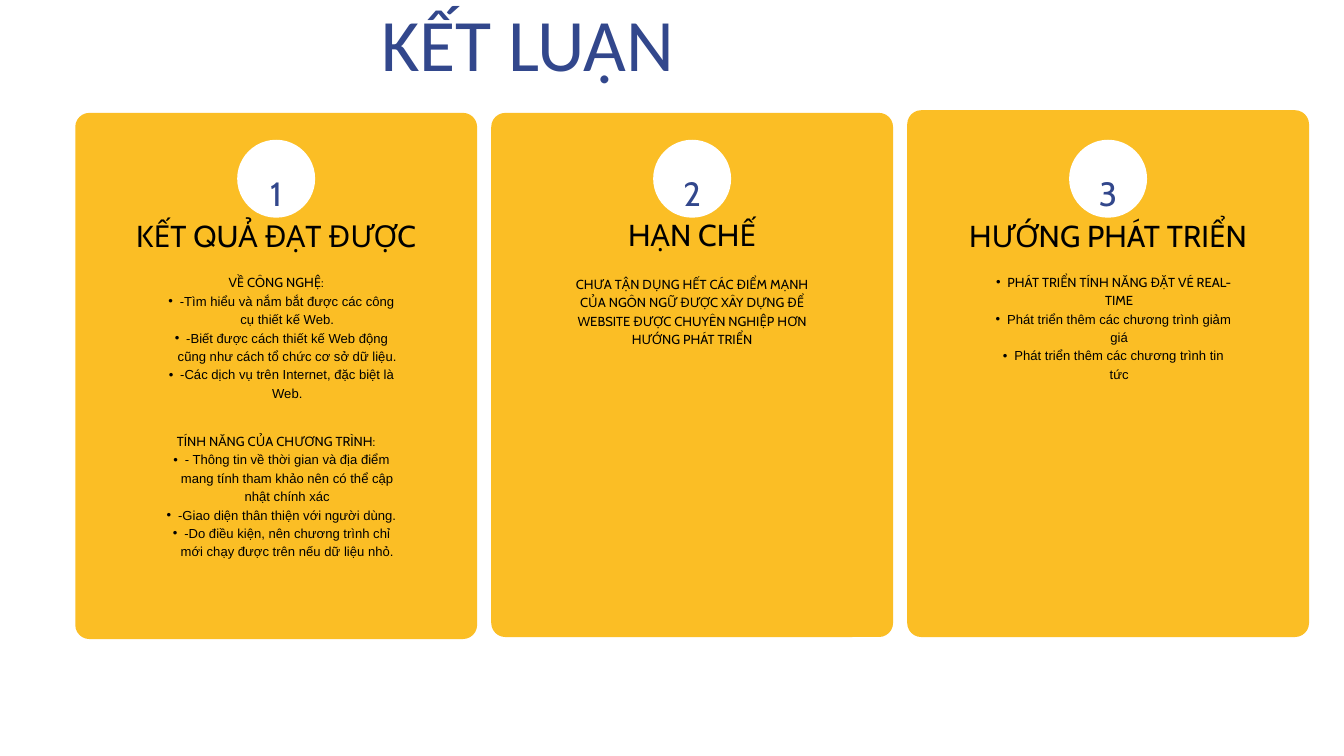
"""Build the conclusion slide: three numbered cards with headings and lists."""
from lxml import etree
from pptx import Presentation
from pptx.dml.color import RGBColor
from pptx.enum.shapes import MSO_SHAPE
from pptx.enum.text import MSO_ANCHOR, MSO_AUTO_SIZE, PP_ALIGN
from pptx.oxml.ns import qn
from pptx.util import Inches, Pt

ROUNDED, OVAL = MSO_SHAPE.ROUNDED_RECTANGLE, MSO_SHAPE.OVAL
LEFT, CENTER = PP_ALIGN.LEFT, PP_ALIGN.CENTER
TOP, NO_FIT = MSO_ANCHOR.TOP, MSO_AUTO_SIZE.NONE
BLUE, YELLOW, WHITE, BLACK = "32478C", "FBBE25", "FFFFFF", "000000"
HEADING_FONT, LIST_FONT, TITLE_FONT = "Cabin", "Arial", "Calibri"

TITLE = "KẾT LUẬN"
CARDS = [
    {"heading": "KẾT QUẢ ĐẠT ĐƯỢC", "top": 1.68, "height": 7.83, "heading_top": 3.28,
     "sections": [
         (4.05, 2.43, [
             (False, HEADING_FONT, "VỀ CÔNG NGHỆ:"),
             (True, LIST_FONT, "-Tìm hiểu và nắm bắt được các công cụ thiết kế Web."),
             (True, LIST_FONT, "-Biết được cách thiết kế Web động cũng như cách tổ chức cơ sở dữ liệu."),
             (True, LIST_FONT, "-Các dịch vụ trên Internet, đặc biệt là Web."),
         ]),
         (6.41, 3.24, [
             (False, HEADING_FONT, "TÍNH NĂNG CỦA CHƯƠNG TRÌNH:"),
             (True, LIST_FONT, "- Thông tin về thời gian và địa điểm mang tính tham khảo nên có thể cập nhật chính xác"),
             (True, LIST_FONT, "-Giao diện thân thiện với người dùng."),
             (True, LIST_FONT, "-Do điều kiện, nên chương trình chỉ mới chạy được trên nếu dữ liệu nhỏ."),
         ]),
     ]},
    {"heading": "HẠN CHẾ", "top": 1.68, "height": 7.8, "heading_top": 3.27,
     "sections": [
         (4.07, 1.58, [
             (False, HEADING_FONT, "CHƯA TẬN DỤNG HẾT CÁC ĐIỂM MẠNH CỦA NGÔN NGỮ ĐƯỢC XÂY DỰNG ĐỂ "
                                   "WEBSITE ĐƯỢC CHUYÊN NGHIỆP HƠN HƯỚNG PHÁT TRIỂN"),
         ]),
     ]},
    {"heading": "HƯỚNG PHÁT TRIỂN", "top": 1.64, "height": 7.84, "heading_top": 3.28,
     "sections": [
         (4.04, 2.16, [
             (True, HEADING_FONT, "PHÁT TRIỂN TÍNH NĂNG ĐẶT VÉ REAL-TIME"),
             (True, LIST_FONT, "Phát triển thêm các chương trình giảm giá"),
             (True, LIST_FONT, "Phát triển thêm các chương trình tin tức"),
         ]),
     ]},
]
FIRST_LEFT, CARD_PITCH, CARD_WIDTH, CORNER = 1.12, 6.19, 5.98, 0.21
BADGE_TOP, BADGE_SIZE = 2.08, 1.16
HEADING_WIDTH, HEADING_HEIGHT, SECTION_WIDTH = 5.42, 0.51, 3.72


def color(hex_code):
    return RGBColor.from_string(hex_code)


def place(shape, left, top, width, height):
    shape.left, shape.top = Inches(left), Inches(top)
    shape.width, shape.height = Inches(width), Inches(height)


def add_panel(slide, kind, left, top, width, height, fill):
    panel = slide.shapes.add_shape(kind, *map(Inches, (left, top, width, height)))
    panel.shadow.inherit = False
    panel.fill.solid()
    panel.fill.fore_color.rgb = color(fill)
    panel.line.fill.background()
    return panel


def prepare_frame(frame, top_margin=0):
    frame.word_wrap = True
    frame.auto_size = NO_FIT
    frame.vertical_anchor = TOP
    frame.margin_left = frame.margin_right = frame.margin_bottom = 0
    frame.margin_top = Inches(top_margin)


def set_bullet(paragraph, bulleted):
    properties = paragraph._p.get_or_add_pPr()
    properties.set("marL", str(Inches(0.33) if bulleted else 0))
    properties.set("indent", str(Inches(-0.17) if bulleted else 0))
    if bulleted:
        paragraph.level = 1
        etree.SubElement(properties, qn("a:buFont")).set("typeface", LIST_FONT)
        etree.SubElement(properties, qn("a:buChar")).set("char", "•")
    else:
        etree.SubElement(properties, qn("a:buNone"))


def format_paragraph(paragraph, font, size, hex_code, spacing, align=CENTER):
    paragraph.alignment = align
    paragraph.line_spacing = Pt(spacing)
    paragraph.space_before = Pt(0)
    for run in paragraph.runs:
        run.font.name = font
        run.font.size = Pt(size)
        run.font.bold = False
        run.font.color.rgb = color(hex_code)


def fill_section(section, lines):
    frame = section.text_frame
    prepare_frame(frame)
    frame.text = "\n".join(text for _, _, text in lines)
    for paragraph, (bulleted, font, _) in zip(frame.paragraphs, lines):
        set_bullet(paragraph, bulleted)
        format_paragraph(paragraph, font, 14, BLACK, 19.7)


def add_card(slide, number, card, section_holders):
    left = FIRST_LEFT + CARD_PITCH * (number - 1)
    middle = left + CARD_WIDTH / 2
    panel = add_panel(slide, ROUNDED, left, card["top"], CARD_WIDTH, card["height"], YELLOW)
    panel.adjustments[0] = CORNER / CARD_WIDTH

    badge = add_panel(slide, OVAL, middle - BADGE_SIZE / 2, BADGE_TOP, BADGE_SIZE, BADGE_SIZE, WHITE)
    prepare_frame(badge.text_frame, 0.14)
    badge.text_frame.text = str(number)
    format_paragraph(badge.text_frame.paragraphs[0], HEADING_FONT, 36, BLUE, 56.5)

    heading = slide.shapes.add_textbox(0, 0, 0, 0)
    place(heading, middle - HEADING_WIDTH / 2, card["heading_top"], HEADING_WIDTH, HEADING_HEIGHT)
    prepare_frame(heading.text_frame)
    heading.text_frame.text = card["heading"]
    format_paragraph(heading.text_frame.paragraphs[0], HEADING_FONT, 32.4, BLACK, 35.6)

    for top, height, lines in card["sections"]:
        section = next(section_holders)
        place(section, middle - SECTION_WIDTH / 2, top, SECTION_WIDTH, height)
        fill_section(section, lines)
        slide.shapes._spTree.append(section._element)


def main():
    presentation = Presentation()
    presentation.slide_width, presentation.slide_height = Inches(20), Inches(11.25)
    slide = presentation.slides.add_slide(presentation.slide_layouts.get_by_name("Comparison"))

    title = slide.shapes.title
    place(title, 5.67, 0.07, 9.83, 1.25)
    prepare_frame(title.text_frame)
    title.text_frame.text = TITLE
    format_paragraph(title.text_frame.paragraphs[0], TITLE_FONT, 79.2, BLUE, 87.2, LEFT)

    section_holders = iter([holder for holder in slide.placeholders if holder != title])
    for number, card in enumerate(CARDS, 1):
        add_card(slide, number, card, section_holders)

    presentation.save("out.pptx")


if __name__ == "__main__":
    main()
